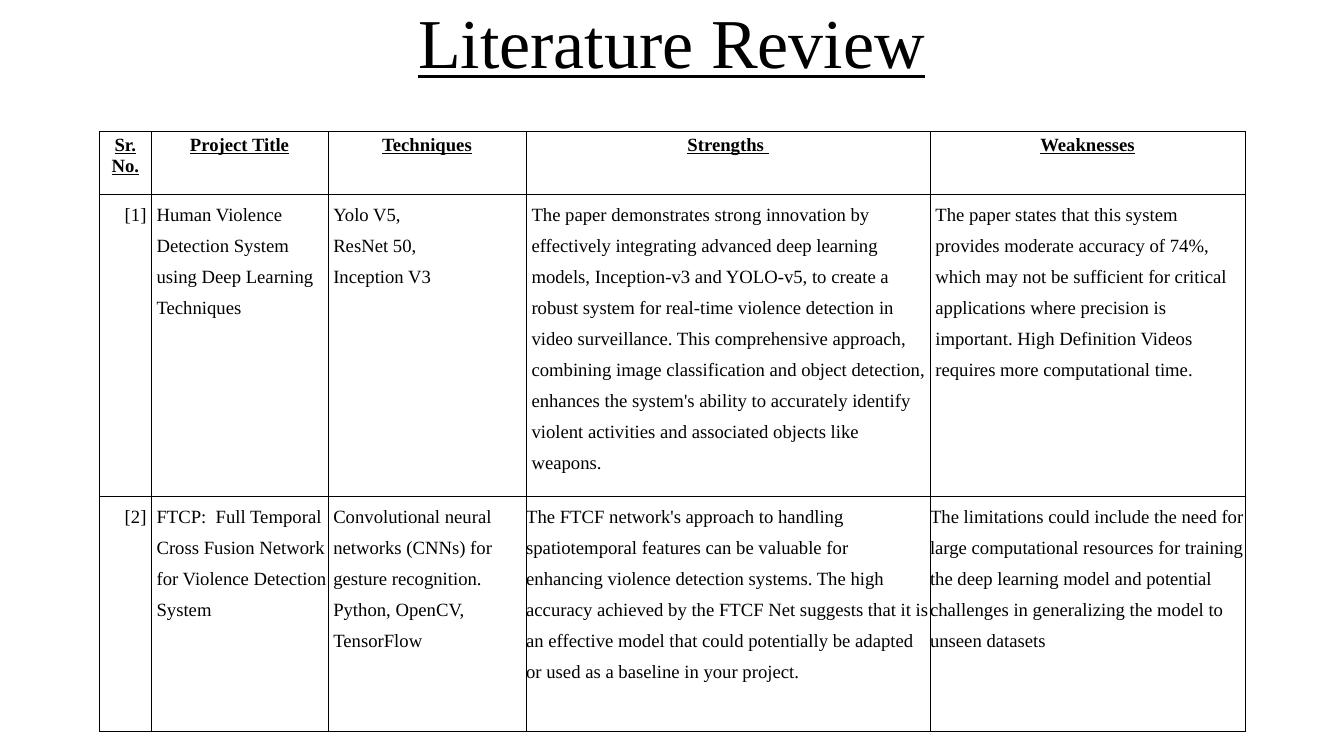
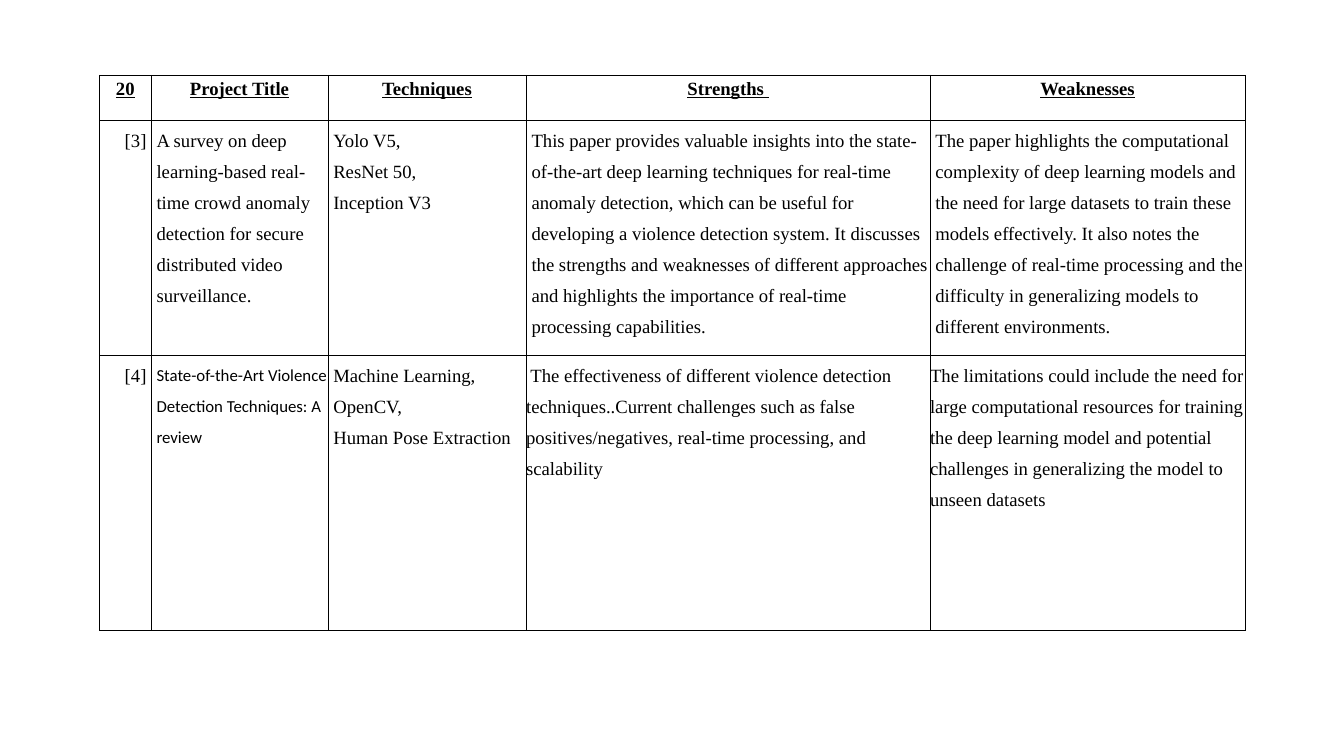
from lxml import etree
from pptx import Presentation, util as u
from pptx.dml.color import RGBColor
from pptx.enum import text
from pptx.oxml.ns import qn

# Shared look
INK = "000000"
SERIF = "Times New Roman"
TABLE_LEFT = 1.48
COLUMN_WIDTHS = [0.77, 2.63, 2.95, 6.01, 4.69]
HEADINGS = ["Project Title", "Techniques", "Strengths ", "Weaknesses"]
INDENT = 0.08
DETECTORS = "Yolo V5,\nResNet 50,\nInception V3"
LIMITATIONS = (
    "The limitations could include the need for large computational resources for training "
    "the deep learning model and potential challenges in generalizing the model to unseen datasets"
)

# Each review: number, title, techniques, strengths, weaknesses
REVIEWS = [
    ["[1]", "Human Violence Detection System using Deep Learning Techniques", DETECTORS,
     "The paper demonstrates strong innovation by effectively integrating advanced deep "
     "learning models, Inception-v3 and YOLO-v5, to create a robust system for real-time "
     "violence detection in video surveillance. This comprehensive approach, combining image "
     "classification and object detection, enhances the system's ability to accurately "
     "identify violent activities and associated objects like weapons.",
     "The paper states that this system provides moderate accuracy of 74%, which may not be "
     "sufficient for critical applications where precision is important. High Definition "
     "Videos requires more computational time."],
    ["[2]", "FTCP:  Full Temporal Cross Fusion Network for Violence Detection System",
     "Convolutional neural networks (CNNs) for gesture recognition. Python, OpenCV, TensorFlow",
     "The FTCF network's approach to handling spatiotemporal features can be valuable for "
     "enhancing violence detection systems. The high accuracy achieved by the FTCF Net "
     "suggests that it is an effective model that could potentially be adapted or used as a "
     "baseline in your project.",
     LIMITATIONS],
    ["[3]", "A survey on deep learning-based real-time crowd anomaly detection for secure "
     "distributed video surveillance.", DETECTORS,
     "This paper provides valuable insights into the state-of-the-art deep learning techniques "
     "for real-time anomaly detection, which can be useful for developing a violence detection "
     "system. It discusses the strengths and weaknesses of different approaches and highlights "
     "the importance of real-time processing capabilities.",
     "The paper highlights the computational complexity of deep learning models and the need "
     "for large datasets to train these models effectively. It also notes the challenge of "
     "real-time processing and the difficulty in generalizing models to different environments."],
    ["[4]", "State-of-the-Art Violence Detection Techniques: A review",
     "Machine Learning,\nOpenCV,\nHuman Pose Extraction",
     " The effectiveness of different violence detection techniques..Current challenges such "
     "as false positives/negatives, real-time processing, and scalability",
     LIMITATIONS],
]

# Each page: title, top of table, heading of the number column, row heights, reviews
PAGES = [
    ("Literature Review", 1.96, "Sr. No.", [0.93, 4.5, 3.5], REVIEWS[:2]),
    (None, 1.12, "20", [0.67, 3.5, 4.09], REVIEWS[2:]),
]


def add_run(paragraph, words, size=20, font=SERIF, color=INK, bold=False, underline=False):
    run = paragraph.add_run()
    run.text = words
    run.font.size = u.Pt(size)
    run.font.name = font
    run.font.bold = bold
    run.font.underline = underline
    run.font.color.rgb = RGBColor.from_string(color)


def add_borders(cell, color=INK, width=1):
    properties = cell._tc.get_or_add_tcPr()
    for side in ("lnL", "lnR", "lnT", "lnB"):
        line = etree.SubElement(properties, qn("a:" + side), w=str(u.Pt(width)))
        fill = etree.SubElement(line, qn("a:solidFill"))
        etree.SubElement(fill, qn("a:srgbClr"), val=color)


presentation = Presentation()
presentation.slide_width = u.Inches(20)
presentation.slide_height = u.Inches(11.25)
title_only, blank = presentation.slide_layouts[5], presentation.slide_layouts[6]

for title, top, number_heading, row_heights, reviews in PAGES:
    slide = presentation.slides.add_slide(title_only if title else blank)

    # Title
    if title:
        shape = slide.shapes.title
        shape.left, shape.top = u.Inches(4.52), u.Inches(0.29)
        shape.width, shape.height = u.Inches(10.95), u.Inches(0.95)
        frame = shape.text_frame
        frame.margin_left = frame.margin_right = frame.margin_top = frame.margin_bottom = 0
        frame.vertical_anchor = text.MSO_ANCHOR.TOP
        frame.auto_size = text.MSO_AUTO_SIZE.SHAPE_TO_FIT_TEXT
        paragraph = frame.paragraphs[0]
        paragraph.alignment = text.PP_ALIGN.CENTER
        paragraph.line_spacing = u.Pt(67.9)
        add_run(paragraph, title, size=75, underline=True)

    # Table grid
    rows = [[number_heading] + HEADINGS] + reviews
    table = slide.shapes.add_table(
        len(rows), len(COLUMN_WIDTHS), u.Inches(TABLE_LEFT), u.Inches(top),
        u.Inches(sum(COLUMN_WIDTHS)), u.Inches(sum(row_heights))).table
    table.first_row = table.horz_banding = False
    for column, width in zip(table.columns, COLUMN_WIDTHS):
        column.width = u.Inches(width)
    for row, height in zip(table.rows, row_heights):
        row.height = u.Inches(height)

    # Table text
    for row_index, row in enumerate(rows):
        for column_index, words in enumerate(row):
            cell = table.cell(row_index, column_index)
            add_borders(cell)
            cell.fill.background()
            is_heading = row_index == 0
            if not is_heading:
                cell.margin_left = cell.margin_right = cell.margin_top = cell.margin_bottom = 0
            # The last review row sets its two long columns flush with the border
            is_flush = row_index == 2 and column_index >= 3
            is_sans = row[0] == "[4]" and column_index == 1

            for line_index, line in enumerate(words.split("\n")):
                frame = cell.text_frame
                paragraph = frame.add_paragraph() if line_index else frame.paragraphs[0]
                if is_heading:
                    paragraph.alignment = text.PP_ALIGN.CENTER
                    add_run(paragraph, line, bold=True, underline=True)
                    continue
                paragraph.line_spacing = 1.5
                if column_index == 0:
                    paragraph.alignment = text.PP_ALIGN.RIGHT
                    cell.margin_right = u.Inches(0.07)
                elif not is_flush:
                    paragraph._p.get_or_add_pPr().set("marL", str(u.Inches(INDENT)))
                if is_sans:
                    add_run(paragraph, line, size=18, font="Calibri")
                else:
                    add_run(paragraph, line)

presentation.save("out.pptx")
